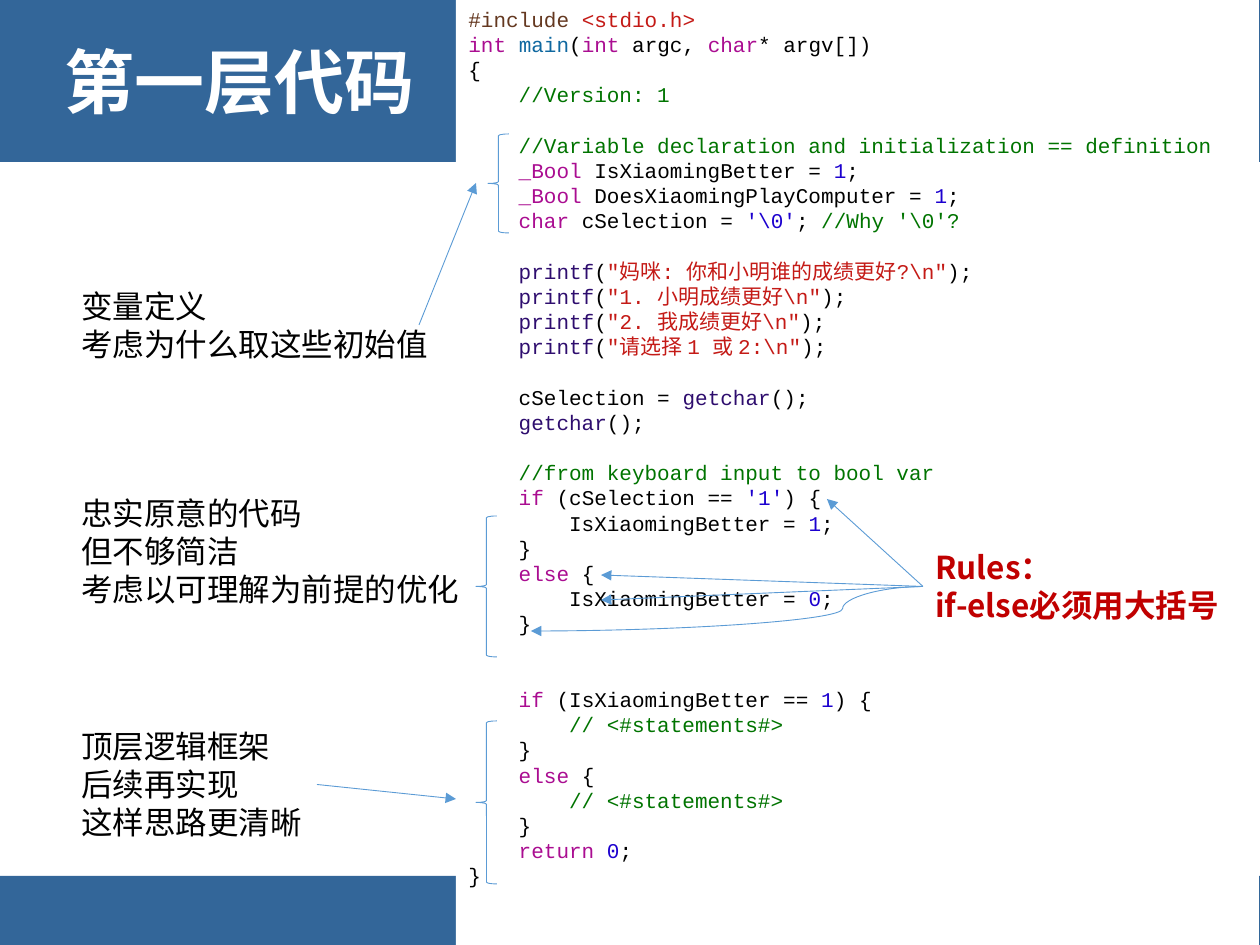
from lxml import etree
from pptx import Presentation
from pptx.dml.color import RGBColor
from pptx.enum.shapes import MSO_CONNECTOR, MSO_SHAPE
from pptx.enum.text import MSO_ANCHOR, MSO_AUTO_SIZE, PP_ALIGN
from pptx.oxml.ns import qn
from pptx.util import Inches, Pt

RECT, BRACE = MSO_SHAPE.RECTANGLE, MSO_SHAPE.LEFT_BRACE
LINE, CURVE = MSO_CONNECTOR.STRAIGHT, MSO_CONNECTOR.CURVE
LEFT, TOP, MID = PP_ALIGN.LEFT, MSO_ANCHOR.TOP, MSO_ANCHOR.MIDDLE
GROW, FIXED = MSO_AUTO_SIZE.SHAPE_TO_FIT_TEXT, MSO_AUTO_SIZE.NONE

PX = 7257  # EMU in one px, 126 px to the inch
SANS, MONO = "Noto Sans CJK SC", "Courier New"
COLORS = {
    "band": "336699", "white": "FFFFFF", "line": "5B9BD5", "rule": "C00000",
    "p": "000000",  # plain code and notes
    "d": "643820",  # directive
    "s": "C41A16",  # string
    "k": "AA0D91",  # keyword
    "m": "0F68A0",  # main
    "c": "007400",  # comment
    "n": "1C00CF",  # number or character
    "f": "2E0D6E",  # library function
}
INK = {key: RGBColor.from_string(value) for key, value in COLORS.items()}

# Code: runs are split by "|" and start with a colour key
CODE = [
    "d:#include |s:<stdio.h>",
    "k:int |m:main|p:(|k:int |p:argc, |k:char|p:* argv[])",
    "p:{",
    "c:    //Version: 1",
    "",
    "c:    //Variable declaration and initialization == definition",
    "k:    _Bool |p:IsXiaomingBetter = |n:1|p:;",
    "k:    _Bool |p:DoesXiaomingPlayComputer = |n:1|p:;",
    r"k:    char |p:cSelection = |n:'\0'|p:; |c://Why '\0'?",
    "",
    r'f:    printf|p:(|s:"妈咪: 你和小明谁的成绩更好?\n"|p:);',
    r'f:    printf|p:(|s:"1. 小明成绩更好\n"|p:);',
    r'f:    printf|p:(|s:"2. 我成绩更好\n"|p:);',
    r'f:    printf|p:(|s:"请选择 1 或 2:\n"|p:);',
    "",
    "p:    cSelection = |f:getchar|p:();",
    "f:    getchar|p:();",
    "",
    "c:    //from keyboard input to bool var",
    "k:    if|p: (cSelection == |n:'1'|p:) {",
    "p:        IsXiaomingBetter = |n:1|p:;",
    "p:    }",
    "k:    else|p: {",
    "p:        IsXiaomingBetter = |n:0|p:;",
    "p:    }",
    "",
    "",
    "k:    if|p: (IsXiaomingBetter == |n:1|p:) {",
    "c:        // <#statements#>",
    "p:    }",
    "k:    else|p: {",
    "c:        // <#statements#>",
    "p:    }",
    "k:    return |n:0|p:;",
    "p:}",
]


def write(shape, lines, size, face=SANS, bold=False, **frame):
    """Fill a shape with coloured runs; an empty line becomes space before."""
    text = shape.text_frame
    for name, value in frame.items():
        setattr(text, name, value)
    gap, para = 0, None
    for line in lines:
        if not line:
            gap += 1
            continue
        para = text.add_paragraph() if para else text.paragraphs[0]
        para.alignment = LEFT
        if gap:
            para.space_before = Pt(14.4 * gap)
        gap = 0
        for part in line.split("|"):
            key, words = part.split(":", 1)
            run = para.add_run()
            run.text = words
            look = {"name": face, "size": Pt(size), "bold": bold}
            for name, value in look.items():
                setattr(run.font, name, value)
            run.font.color.rgb = INK[key]
            east = etree.Element(qn("a:ea"), typeface=SANS)
            run.font._element.find(qn("a:latin")).addnext(east)


def link(kind, start, end):
    """Draw a thin arrow between two points in px."""
    wire = slide.shapes.add_connector(kind, *(n * PX for n in start + end))
    wire.line.color.rgb = INK["line"]
    wire.line.width = Pt(0.5)
    props = wire.element.spPr
    etree.SubElement(props.find(qn("a:ln")), qn("a:tailEnd"), type="triangle")
    etree.SubElement(props, qn("a:effectLst"))
    return wire


deck = Presentation()
deck.slide_width, deck.slide_height = Inches(10), Inches(7.5)
slide = deck.slides.add_slide(deck.slide_layouts[5])

# Bands at top and bottom, and the white code panel
for color, *box in (("band", 0, 0, 1260, 162), ("band", 0, 876, 1260, 69),
                    ("white", 456, 0, 803, 954)):
    panel = slide.shapes.add_shape(RECT, *(n * PX for n in box))
    panel.shadow.inherit = False
    panel.fill.solid()
    panel.fill.fore_color.rgb = INK[color]
    panel.line.fill.background()

# Title, in front of the bands and behind the panel
title = slide.shapes.title
panel.element.addprevious(title.element)
place = {"left": 52, "top": 23, "width": 1158, "height": 125}
for name, value in place.items():
    setattr(title, name, value * PX)
write(title, ["white:第一层代码"], 40, bold=True,
      vertical_anchor=MID, auto_size=FIXED)
title.text_frame.paragraphs[0].line_spacing = 0.9

# Code
write(panel, CODE, 12, MONO, word_wrap=True, vertical_anchor=TOP)

# Notes on the left and the rule on the right
for color, bold, box, lines in (
    ("p", False, (69, 281, 375, 89), ("变量定义", "考虑为什么取这些初始值")),
    ("p", False, (69, 488, 407, 127),
     ("忠实原意的代码", "但不够简洁", "考虑以可理解为前提的优化")),
    ("p", False, (69, 721, 248, 127),
     ("顶层逻辑框架", "后续再实现", "这样思路更清晰")),
    ("rule", True, (923, 542, 316, 89), ("Rules：", "if-else必须用大括号")),
):
    note = slide.shapes.add_textbox(*(n * PX for n in box))
    write(note, [f"{color}:{line}" for line in lines], 18, bold=bold,
          word_wrap=False, auto_size=GROW)
*_, frame, rule = slide.shapes

# Braces beside the code
for box in ((488, 134, 21, 99), (476, 516, 21, 141), (476, 721, 21, 163)):
    brace = slide.shapes.add_shape(BRACE, *(n * PX for n in box))
    brace.shadow.inherit = False
    brace.fill.background()
    brace.line.color.rgb = INK["line"]
    brace.line.width = Pt(0.5)

# Arrows from the notes to the code
link(LINE, (419, 325), (476, 183))
link(LINE, (317, 785), (456, 799)).begin_connect(frame, 3)

# Arrows from the rule to the curly brackets
for kind, end in ((LINE, (827, 499)), (LINE, (601, 575)),
                  (LINE, (601, 600)), (CURVE, (531, 631))):
    wire = link(kind, (923, 586), end)
    wire.begin_connect(rule, 1)
bend = wire.element.spPr.find(qn("a:prstGeom")).get_or_add_avLst()
etree.SubElement(bend, qn("a:gd"), name="adj1", fmla="val 20500")

deck.save("out.pptx")
